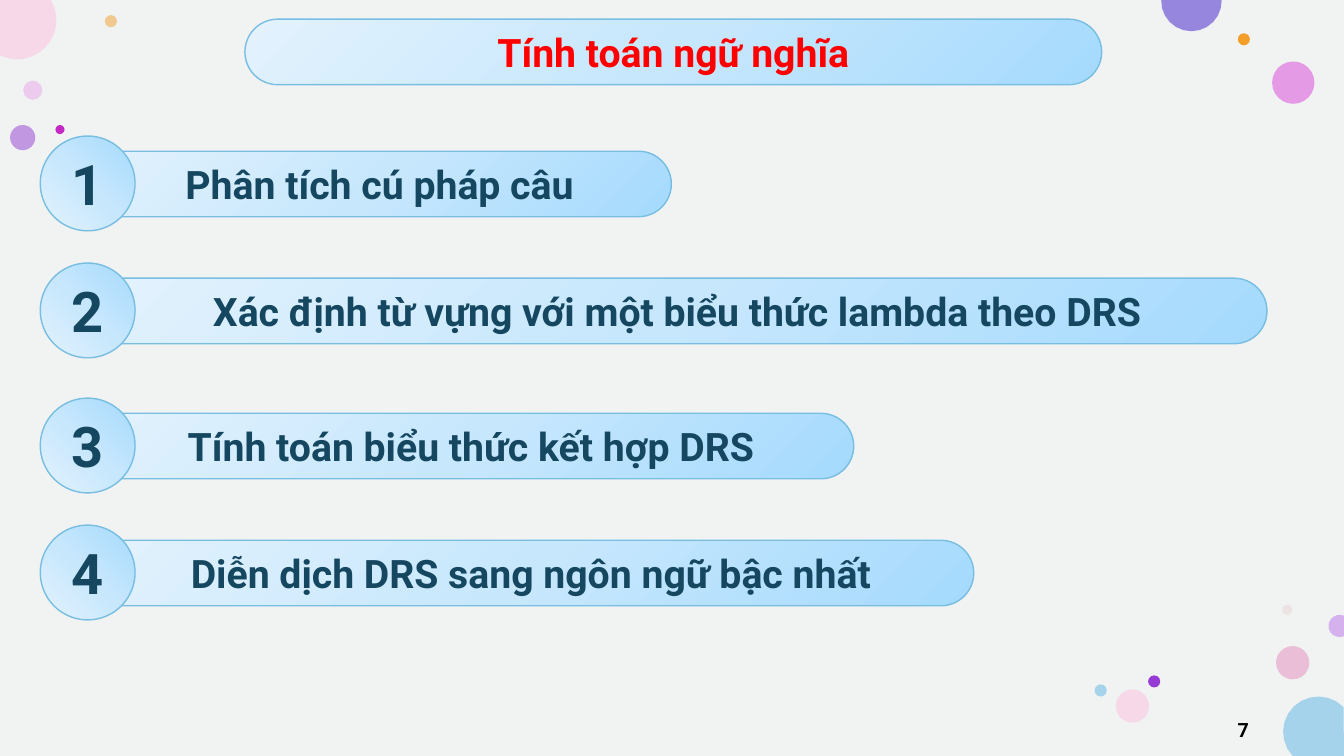
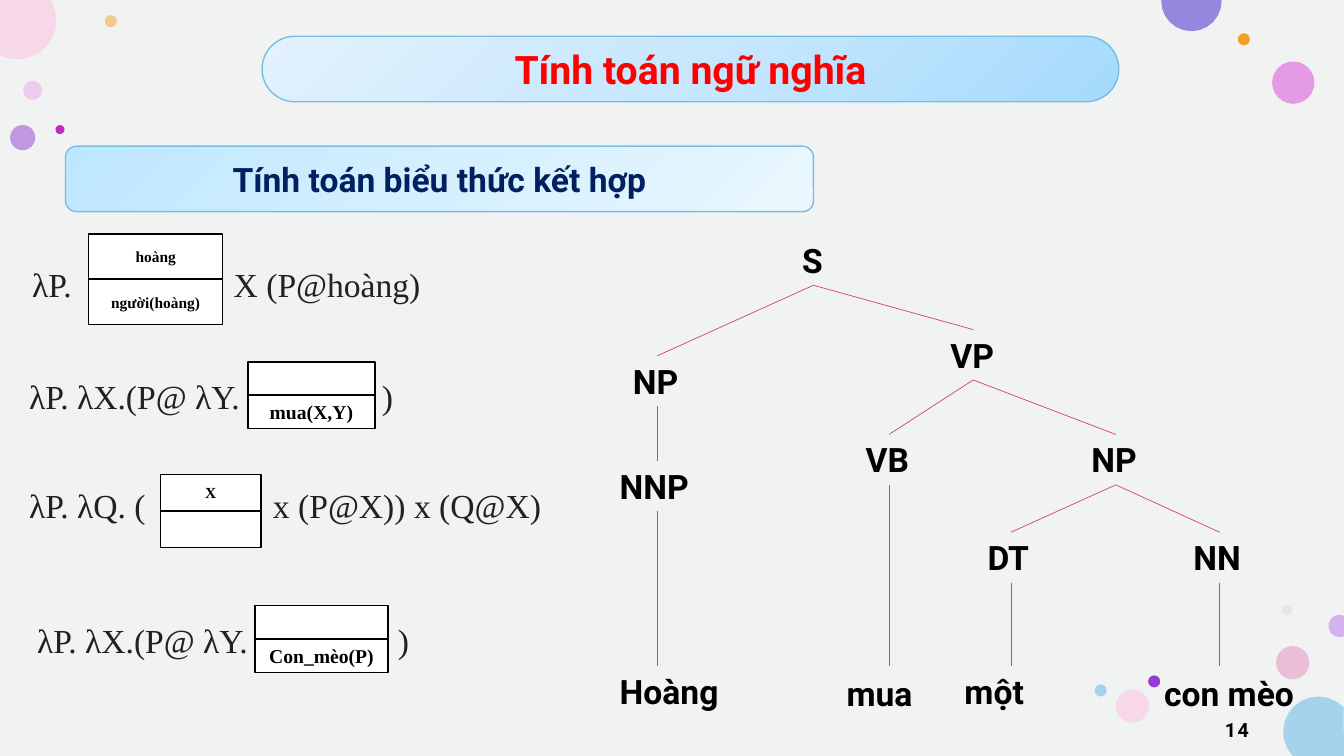
from dataclasses import dataclass
from math import cos, radians, sin

from lxml import etree
from pptx import Presentation
from pptx.dml.color import RGBColor
from pptx.enum.shapes import MSO_CONNECTOR, MSO_SHAPE
from pptx.enum.text import MSO_ANCHOR, MSO_AUTO_SIZE, PP_ALIGN
from pptx.oxml.ns import qn
from pptx.util import Inches, Pt

RECTANGLE, OVAL = MSO_SHAPE.RECTANGLE, MSO_SHAPE.OVAL
ROUNDED = MSO_SHAPE.ROUNDED_RECTANGLE
STRAIGHT = MSO_CONNECTOR.STRAIGHT
LEFT, CENTER, RIGHT = PP_ALIGN.LEFT, PP_ALIGN.CENTER, PP_ALIGN.RIGHT
TOP, MIDDLE = MSO_ANCHOR.TOP, MSO_ANCHOR.MIDDLE
FIT_SHAPE = MSO_AUTO_SIZE.SHAPE_TO_FIT_TEXT

# Shared style
SLIDE_WIDTH, SLIDE_HEIGHT = 40 / 3, 7.5
SANS, SERIF = "Roboto", "Times New Roman"
BACKDROP, BLACK, WHITE = "F0F3F2", "000000", "FFFFFF"
TITLE_RED, NAVY, TEAL, INK = "FF0000", "002060", "154761", "202122"
OUTLINE, BRANCH = "78BEE2", "D43C93"
SKY = ("A5DAFD", "C7E7FD", "E3F2FD")
PALE_SKY = ("BDE7FF", "D5EFFE", "EAF7FE")
BOTTOM_RIGHT, TOP_RIGHT = (100, 100, 0, 0), (100, 0, 0, 100)
BAR_HEIGHT, BADGE_SIZE, BADGE_RISE, LABEL_HEIGHT = 0.65, 0.94, 0.15, 0.5
ARC_STEPS = 12


@dataclass
class Bubble:
    left: float
    top: float
    diameter: float
    color: str
    opacity: int = 100


@dataclass
class CutBubble:
    """A circle cut by the slide edge: its visible arc in degrees and an optional corner."""
    x: float
    y: float
    radius: float
    start: float
    end: float
    color: str
    corner: tuple[float, float] | None = None


@dataclass
class Step:
    text: str
    left: float
    top: float
    width: float


@dataclass
class Node:
    label: str
    left: float
    top: float
    width: float
    parent: int | None = None


@dataclass
class Word:
    label: str
    left: float
    top: float
    width: float
    parent: int


@dataclass
class Formula:
    text: str
    left: float
    top: float
    tab: float
    box: tuple[float, float, float, float]  # left, top, width, row height
    rows: tuple[str, str]
    size: int


BUBBLES = [
    Bubble(0.23, 0.8, 0.19, "EBA5EB", 50),
    Bubble(1.04, 0.15, 0.12, "F39E29", 50),
    Bubble(12.66, 6.41, 0.33, "E58ABE", 50),
    Bubble(0.1, 1.24, 0.25, "963CD4", 50),
    Bubble(12.62, 0.61, 0.42, "E278E1", 72),
    Bubble(12.28, 0.33, 0.12, "F39E29"),
    Bubble(12.72, 6.0, 0.1, "E3BEBE", 28),
    Bubble(11.39, 6.7, 0.12, "963CD4"),
    Bubble(11.07, 6.84, 0.33, "F6D8E9"),
    Bubble(10.86, 6.79, 0.12, "A5D3EB"),
    Bubble(0.55, 1.24, 0.09, "C22AC1"),
]
CUT_BUBBLES = [
    CutBubble(13.08, 7.26, 0.35, 136.7, 315.6, "A5D3EB", (SLIDE_WIDTH, SLIDE_HEIGHT)),
    CutBubble(0.17, 0.2, 0.39, -30.9, 115.8, "F6D8E9", (0, 0)),
    CutBubble(11.82, 0.01, 0.3, -1.9, 181.9, "9686DD"),
    CutBubble(13.29, 6.21, 0.11, 67, 293, "D5B1EE"),
]
STEPS = [
    Step("Phân tích cú pháp câu", 0.87, 1.5, 5.79),
    Step("Xác định từ vựng với một biểu thức lambda theo DRS", 0.86, 2.76, 11.71),
    Step("Tính toán biểu thức kết hợp DRS", 0.87, 4.1, 7.6),
    Step("Diễn dịch DRS sang ngôn ngữ bậc nhất", 0.87, 5.36, 8.79),
]
NODES = [
    Node("S", 7.86, 2.33, 0.42),
    Node("NP", 6.18, 3.53, 0.68, 0),
    Node("NNP", 6.05, 4.57, 0.94, 1),
    Node("VP", 9.33, 3.27, 0.65, 0),
    Node("VB", 8.49, 4.31, 0.66, 3),
    Node("NP", 10.73, 4.31, 0.68, 3),
    Node("DT", 9.7, 5.28, 0.66, 5),
    Node("NN", 11.74, 5.28, 0.72, 5),
]
WORDS = [
    Word("Hoàng", 6.05, 6.61, 1.3, 2),
    Word("mua", 8.3, 6.63, 0.94, 4),
    Word("một", 9.47, 6.61, 0.87, 6),
    Word("con mèo", 11.45, 6.63, 1.63, 7),
]
WORD_LINE_END = 6.61
FORMULAS = [
    Formula("λP.\tX (P@hoàng)", 0.22, 2.57, 2.0,
            (0.88, 2.32, 1.33, 0.45), ("hoàng", "người(hoàng)"), 11),
    Formula("λP. λX.(P@ λY.\t)", 0.19, 3.68, 3.5,
            (2.46, 3.59, 1.26, 0.33), ("", "mua(X,Y)"), 14),
    Formula("λP. λQ. (\tx (P@X)) x (Q@X)", 0.19, 4.76, 2.42,
            (1.59, 4.71, 1.0, 0.36), ("X", ""), 11),
    Formula("λP. λX.(P@ λY.\t)", 0.27, 6.1, 3.58,
            (2.53, 6.01, 1.32, 0.33), ("", "Con_mèo(P)"), 14),
]


def rgb(color: str) -> RGBColor:
    return RGBColor.from_string(color)


def write_text(shape, text: str, *, size: float, color: str, font: str = SANS, bold: bool = True,
               align=CENTER, anchor=MIDDLE, wrap: bool = True, spacing: int = 0) -> None:
    frame = shape.text_frame
    frame.word_wrap = wrap
    frame.vertical_anchor = anchor
    paragraph = frame.paragraphs[0]
    paragraph.alignment = align
    run = paragraph.add_run()
    run.text = text
    run.font.name, run.font.size, run.font.bold = font, Pt(size), bold
    run.font.color.rgb = rgb(color)
    if spacing:
        run.font._element.set("spc", str(spacing * 100))


def paint(shape, fill: str, line: str | None = None) -> None:
    shape.shadow.inherit = False
    shape.fill.solid()
    shape.fill.fore_color.rgb = rgb(fill)
    if line:
        shape.line.color.rgb = rgb(line)
        shape.line.width = Pt(1)
    else:
        shape.line.fill.background()


def add_box(slide, kind, left: float, top: float, width: float, height: float,
            fill: str, line: str | None = None):
    shape = slide.shapes.add_shape(kind, Inches(left), Inches(top), Inches(width), Inches(height))
    paint(shape, fill, line)
    return shape


def add_label(slide, text: str, left: float, top: float, width: float, **text_format):
    label = slide.shapes.add_textbox(Inches(left), Inches(top), Inches(width), Inches(LABEL_HEIGHT))
    write_text(label, text, size=24, align=LEFT, anchor=TOP, **text_format)
    label.text_frame.auto_size = FIT_SHAPE
    return label


def apply_gradient(shape, colors: tuple[str, ...], focus: tuple[int, ...] | None = None) -> None:
    """Radial from the focus corner, or a 45 degree sweep without one."""
    gradient = etree.Element(qn("a:gradFill"), rotWithShape="1")
    stops = etree.SubElement(gradient, qn("a:gsLst"))
    for index, color in enumerate(colors):
        position = 100000 * index // (len(colors) - 1)
        stop = etree.SubElement(stops, qn("a:gs"), pos=str(position))
        etree.SubElement(stop, qn("a:srgbClr"), val=color)
    if focus:
        radial = etree.SubElement(gradient, qn("a:path"))
        radial.set("path", "circle")
        target = etree.SubElement(radial, qn("a:fillToRect"))
        for side, percent in zip("ltrb", focus):
            target.set(side, str(percent * 1000))
    else:
        etree.SubElement(gradient, qn("a:lin"), ang="2700000", scaled="0")
    properties = shape._element.spPr
    properties.replace(properties.find(qn("a:solidFill")), gradient)


def add_bar(slide, text: str, left: float, top: float, width: float, color: str) -> None:
    bar = add_box(slide, ROUNDED, left, top, width, BAR_HEIGHT, SKY[0], OUTLINE)
    bar.adjustments[0] = 0.5
    apply_gradient(bar, SKY, BOTTOM_RIGHT)
    write_text(bar, text, size=28, color=color)


def add_bubble(slide, bubble: Bubble) -> None:
    shape = add_box(slide, OVAL, bubble.left, bubble.top, bubble.diameter, bubble.diameter,
                    bubble.color)
    if bubble.opacity < 100:
        color = shape._element.spPr.find(qn("a:solidFill"))[0]
        etree.SubElement(color, qn("a:alpha"), val=str(bubble.opacity * 1000))


def add_cut_bubble(slide, bubble: CutBubble) -> None:
    points = []
    for step in range(ARC_STEPS + 1):
        angle = radians(bubble.start + (bubble.end - bubble.start) * step / ARC_STEPS)
        x, y = bubble.x + bubble.radius * cos(angle), bubble.y + bubble.radius * sin(angle)
        points.append((min(max(x, 0), SLIDE_WIDTH), min(max(y, 0), SLIDE_HEIGHT)))
    if bubble.corner:
        points.append(bubble.corner)
    outline = [(Inches(x), Inches(y)) for x, y in points]
    builder = slide.shapes.build_freeform(*outline[0])
    builder.add_line_segments(outline[1:], close=True)
    paint(builder.convert_to_shape(), bubble.color)


def add_branch(slide, parent, child=None) -> None:
    """Join parent to child, or drop straight down to the words."""
    x = parent.left + parent.width // 2
    line = slide.shapes.add_connector(STRAIGHT, x, parent.top + parent.height,
                                      x, Inches(WORD_LINE_END))
    line.begin_connect(parent, 2)
    if child is not None:
        line.end_connect(child, 0)
    line.line.color.rgb = rgb(BRANCH)
    line.line.width = Pt(0.5)
    etree.SubElement(line._element.spPr, qn("a:effectLst"))


def add_formula(slide, formula: Formula) -> None:
    label = add_label(slide, formula.text, formula.left, formula.top, 5.43,
                      font=SERIF, color=INK, bold=False)
    properties = label.text_frame.paragraphs[0]._p.get_or_add_pPr()
    tabs = etree.SubElement(properties, qn("a:tabLst"))
    etree.SubElement(tabs, qn("a:tab"), pos=str(Inches(formula.tab)), algn="l")
    left, top, width, height = formula.box
    for index, text in enumerate(formula.rows):
        row = add_box(slide, RECTANGLE, left, top + index * height, width, height, WHITE, BLACK)
        if text:
            write_text(row, text, size=formula.size, font=SERIF, color=BLACK)


def start_slide(presentation, number: int, title_left: float, title_top: float):
    slide = presentation.slides.add_slide(presentation.slide_layouts[6])
    add_box(slide, RECTANGLE, 0, 0, SLIDE_WIDTH, SLIDE_HEIGHT, BACKDROP)
    for bubble in BUBBLES:
        add_bubble(slide, bubble)
    for bubble in CUT_BUBBLES:
        add_cut_bubble(slide, bubble)
    add_bar(slide, "Tính toán ngữ nghĩa", title_left, title_top, 8.5, TITLE_RED)
    page = slide.shapes.add_textbox(Inches(9.51), Inches(7.1), Inches(3), Inches(0.26))
    frame = page.text_frame
    frame.margin_left = frame.margin_top = frame.margin_right = Inches(0.12)
    frame.margin_bottom = Inches(0.1)
    write_text(page, str(number), size=14, color=BLACK, align=RIGHT, spacing=1)
    return slide


def build_steps(presentation) -> None:
    slide = start_slide(presentation, 7, 2.43, 0.19)
    for number, step in enumerate(STEPS, start=1):
        add_bar(slide, step.text, step.left, step.top, step.width, TEAL)
        badge = add_box(slide, OVAL, 0.4, step.top - BADGE_RISE, BADGE_SIZE, BADGE_SIZE,
                        SKY[0], OUTLINE)
        apply_gradient(badge, SKY, TOP_RIGHT)
        write_text(badge, str(number), size=40, color=TEAL)


def build_tree(presentation) -> None:
    slide = start_slide(presentation, 14, 2.6, 0.36)
    heading = add_box(slide, ROUNDED, 0.65, 1.45, 7.42, BAR_HEIGHT, PALE_SKY[0], OUTLINE)
    apply_gradient(heading, PALE_SKY)
    write_text(heading, "Tính toán biểu thức kết hợp", size=24, color=NAVY)

    # Syntax tree
    labels = [add_label(slide, node.label, node.left, node.top, node.width,
                        color=BLACK, wrap=False) for node in NODES]
    for node, label in zip(NODES, labels):
        if node.parent is not None:
            add_branch(slide, labels[node.parent], label)
    for word in WORDS:
        add_branch(slide, labels[word.parent])
        add_label(slide, word.label, word.left, word.top, word.width, color=BLACK, wrap=False)

    # Lambda expressions
    for formula in FORMULAS:
        add_formula(slide, formula)


def main() -> None:
    presentation = Presentation()
    presentation.slide_width, presentation.slide_height = Inches(SLIDE_WIDTH), Inches(SLIDE_HEIGHT)
    build_steps(presentation)
    build_tree(presentation)
    presentation.save("out.pptx")


if __name__ == "__main__":
    main()
